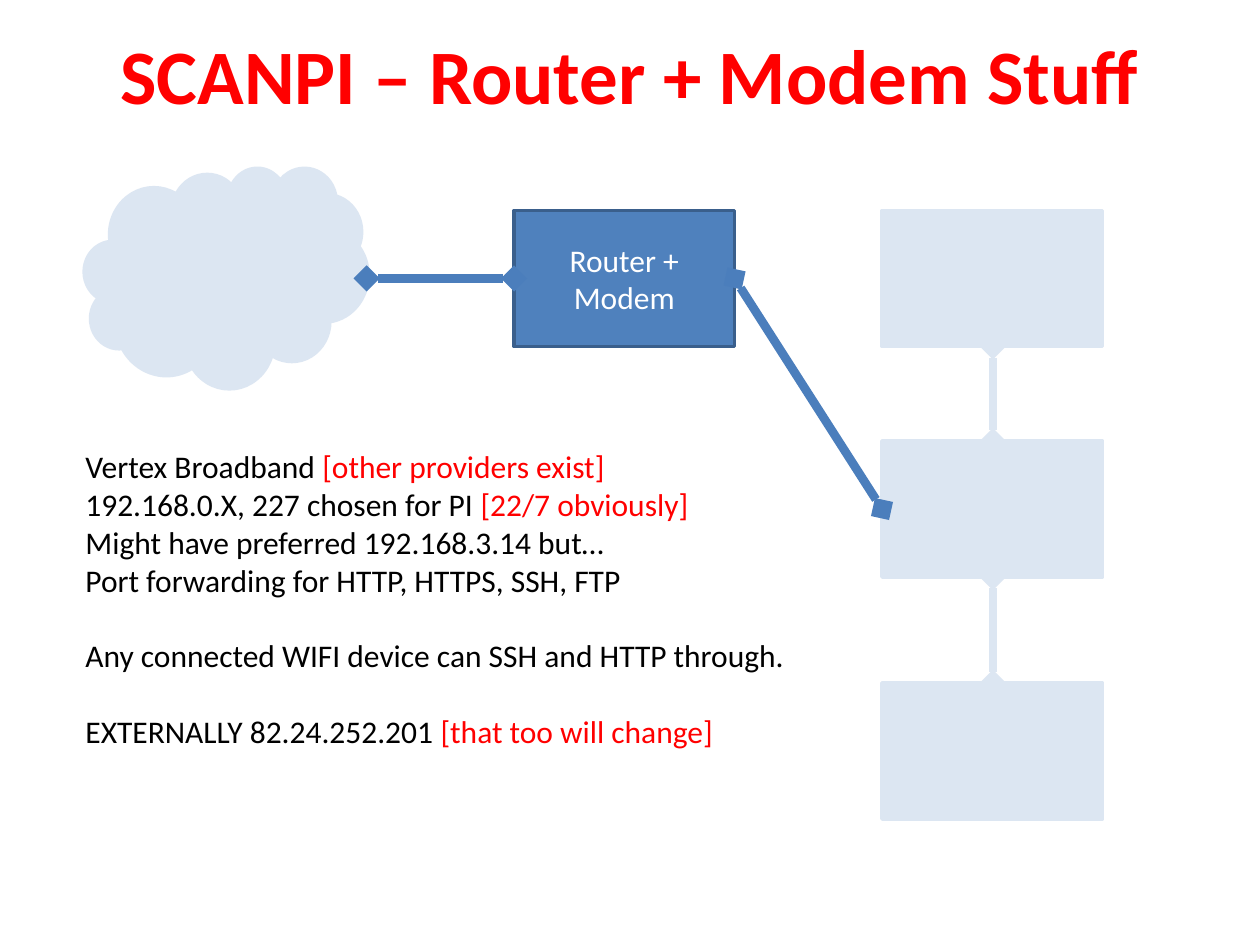
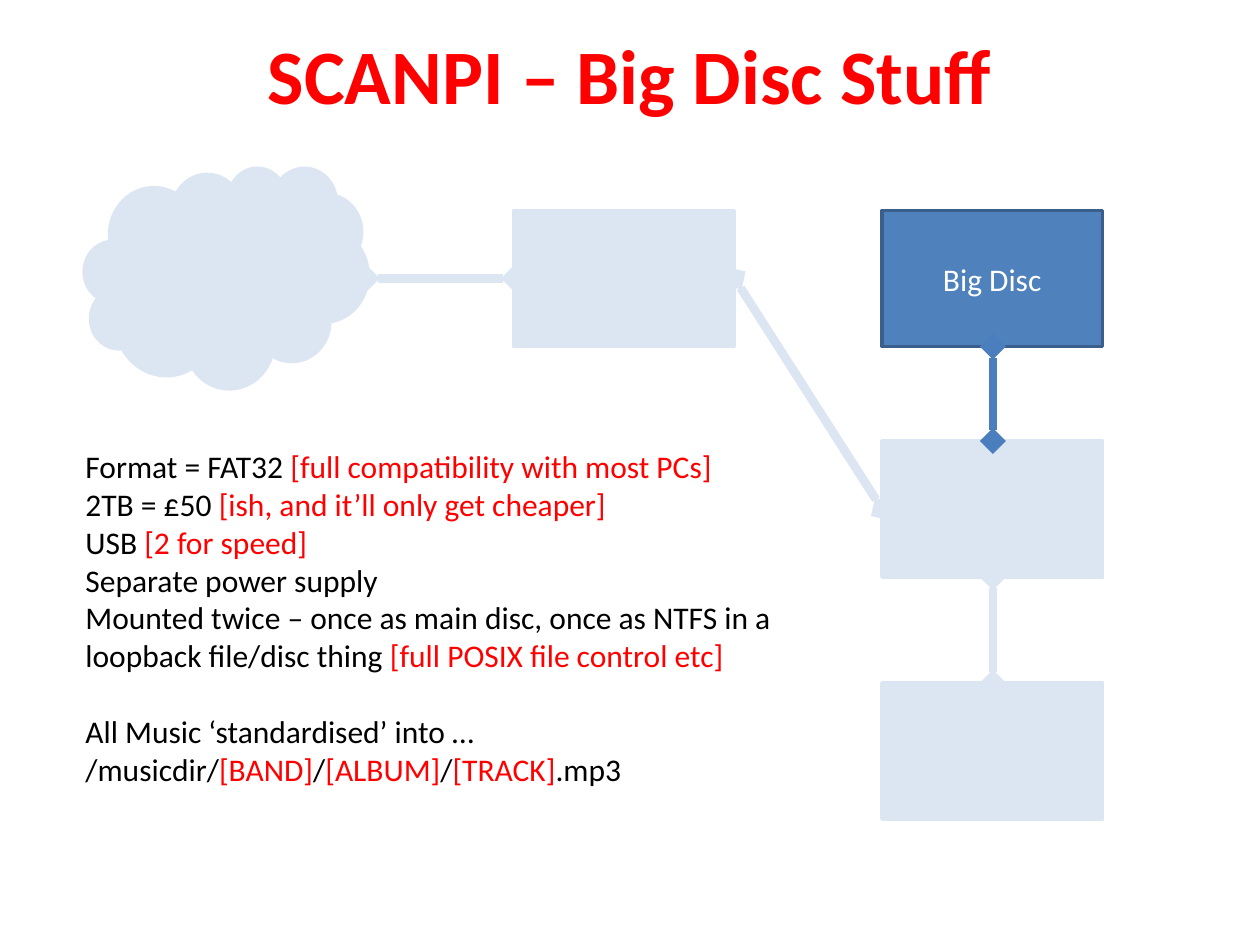
import pptx
import pptx.util
import pptx.dml.color
import pptx.enum.shapes
import pptx.enum.text
import pptx.oxml.ns
import lxml.etree

Inches = pptx.util.Inches
Pt = pptx.util.Pt
SHAPES = pptx.enum.shapes.MSO_SHAPE
ALIGN = pptx.enum.text.PP_ALIGN
ANCHOR = pptx.enum.text.MSO_ANCHOR

COLORS = {
    "accent": "FF0000",
    "text": "000000",
    "label": "FFFFFF",
    "faded": "DCE6F2",
    "active_fill": "4F81BD",
    "active_border": "3A5F8C",
    "active_link": "4B7EBC",
}
FONT = "Calibri"

# Network diagram: device -> preset, left, top, width, height
BOX_WIDTH, BOX_HEIGHT = 1.75, 1.08
DEVICES = {
    "net": (SHAPES.CLOUD, 0.67, 1.33, 2.25, 1.75),
    "router": (SHAPES.RECTANGLE, 4.08, 1.67, BOX_WIDTH, BOX_HEIGHT),
    "disc": (SHAPES.RECTANGLE, 7, 1.67, BOX_WIDTH, BOX_HEIGHT),
    "pi": (SHAPES.RECTANGLE, 7, 3.5, BOX_WIDTH, BOX_HEIGHT),
    "player": (SHAPES.RECTANGLE, 7, 5.42, BOX_WIDTH, BOX_HEIGHT),
}
# Links: first device, second device, start point, end point
LINKS = [
    ("router", "pi", (5.83, 2.21), (7, 4.04)),
    ("net", "router", (2.91, 2.21), (4.08, 2.21)),
    ("pi", "player", (7.88, 4.58), (7.88, 5.42)),
    ("disc", "pi", (7.88, 2.75), (7.88, 3.5)),
]

# Slides: title, highlighted device, its label, text height, blocks of lines (brackets turn red)
SLIDES = [
    ("SCANPI – Router + Modem Stuff", "router", "Router + Modem", 2.52, [
        ["Vertex Broadband [other providers exist]",
         "192.168.0.X, 227 chosen for PI [22/7 obviously]",
         "Might have preferred 192.168.3.14 but…",
         "Port forwarding for HTTP, HTTPS, SSH, FTP"],
        ["Any connected WIFI device can SSH and HTTP through."],
        ["EXTERNALLY 82.24.252.201 [that too will change]"],
    ]),
    ("SCANPI – Big Disc Stuff", "disc", "Big Disc", 2.83, [
        ["Format = FAT32 [full compatibility with most PCs]",
         "2TB = £50 [ish, and it’ll only get cheaper]",
         "USB [2 for speed]",
         "Separate power supply",
         "Mounted twice – once as main disc, once as NTFS in a "
         "loopback file/disc thing [full POSIX file control etc]"],
        ["All Music ‘standardised’ into …",
         "/musicdir/[BAND]/[ALBUM]/[TRACK].mp3"],
    ]),
]


def rgb(name):
    return pptx.dml.color.RGBColor.from_string(COLORS[name])


def style_paragraph(paragraph, size, color=None, bold=False, align=ALIGN.LEFT):
    paragraph.alignment = align
    paragraph.font.name = FONT
    paragraph.font.size = Pt(size)
    paragraph.font.bold = bold
    if color:
        paragraph.font.color.rgb = rgb(color)


presentation = pptx.Presentation()
presentation.slide_width = Inches(10)
presentation.slide_height = Inches(7.5)

for title, active, label, text_height, blocks in SLIDES:
    slide = presentation.slides.add_slide(presentation.slide_layouts[6])

    # Title
    title_box = slide.shapes.add_textbox(Inches(0.75), Inches(0.17), Inches(8.5), Inches(0.83))
    title_frame = title_box.text_frame
    title_frame.word_wrap = True
    title_frame.vertical_anchor = ANCHOR.MIDDLE
    title_frame.text = title
    style_paragraph(title_frame.paragraphs[0], 44, "accent", True, ALIGN.CENTER)

    # Notes on the highlighted device, one line of space between blocks
    notes_box = slide.shapes.add_textbox(Inches(0.58), Inches(3.5), Inches(6.5), Inches(text_height))
    notes_frame = notes_box.text_frame
    notes_frame.word_wrap = True
    paragraph = notes_frame.paragraphs[0]
    for block_index, block in enumerate(blocks):
        for line_index, line in enumerate(block):
            if block_index or line_index:
                paragraph = notes_frame.add_paragraph()
            style_paragraph(paragraph, 18)
            if block_index and not line_index:
                paragraph.space_before = Pt(21.6)
            for piece in line.replace("[", "|[").replace("]", "]|").split("|"):
                if piece:
                    run = paragraph.add_run()
                    run.text = piece
                    run.font.color.rgb = rgb("accent" if piece[0] == "[" else "text")

    # Devices, only the highlighted one labelled
    for device, (preset, *bounds) in DEVICES.items():
        shape = slide.shapes.add_shape(preset, *map(Inches, bounds))
        shape.shadow.inherit = False
        shape.fill.solid()
        shape.fill.fore_color.rgb = rgb("active_fill" if device == active else "faded")
        shape.line.color.rgb = rgb("active_border" if device == active else "faded")
        shape.line.width = Pt(2)
        if device == active:
            shape.text_frame.word_wrap = True
            shape.text_frame.vertical_anchor = ANCHOR.MIDDLE
            shape.text_frame.text = label
            style_paragraph(shape.text_frame.paragraphs[0], 18, "label", align=ALIGN.CENTER)

    # Links, highlighted where they touch the highlighted device
    for first, second, start, end in LINKS:
        connector = slide.shapes.add_connector(
            pptx.enum.shapes.MSO_CONNECTOR.STRAIGHT, *map(Inches, start + end))
        connector.line.color.rgb = rgb("active_link" if active in (first, second) else "faded")
        connector.line.width = Pt(5)
        line_xml = connector.line._get_or_add_ln()
        for tag in ("a:headEnd", "a:tailEnd"):
            lxml.etree.SubElement(line_xml, pptx.oxml.ns.qn(tag), type="diamond")
        lxml.etree.SubElement(connector._element.spPr, pptx.oxml.ns.qn("a:effectLst"))

presentation.save("out.pptx")
